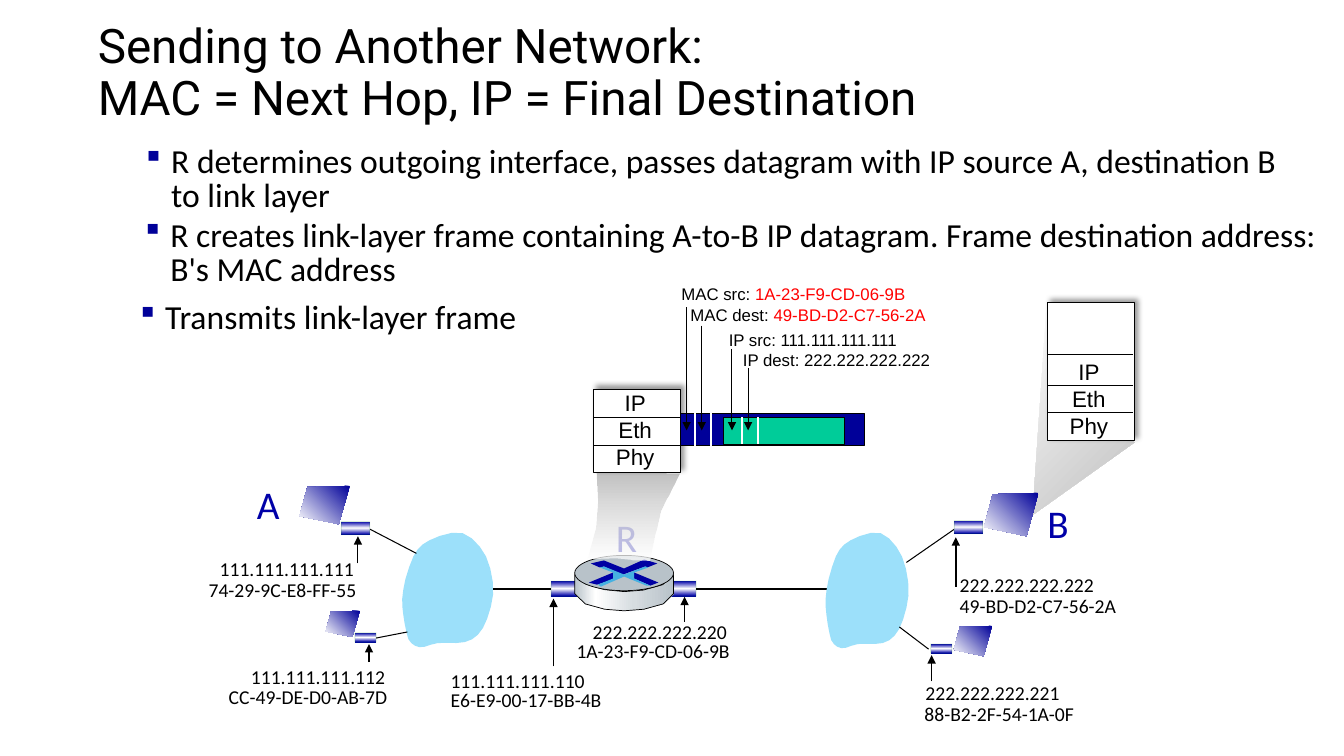
import pptx
import pptx.util
import pptx.dml.color
import pptx.enum.shapes
import pptx.enum.text
import pptx.oxml
import pptx.oxml.ns
from pptx.util import Inches

COLORS = {
    "black": "000000", "white": "FFFFFF", "red": "FF0000", "letter": "0000A8",
    "navy": "000099", "teal": "00CC99", "cloud": "9CE0FA", "steel": "B8C2C9",
    "silver": "D6DCE0", "cross": "0000A3", "cross_light": "46B1E1",
    "grey": "BFBFBF", "port_edge": "008000",
}
A_NS = pptx.oxml.ns.nsdecls("a")
qn = pptx.oxml.ns.qn
SHAPE = pptx.enum.shapes.MSO_SHAPE
CURVE_STEPS = 3

CLOUD_BOX = (3.98, 5.26, 0.92, 1.17)
CLOUD = [(4.26, 5.36), (4.18, 5.4, 4.14, 5.44, 4.1, 5.52), (4.06, 5.61, 4.01, 5.76, 4, 5.85),
         (3.98, 5.95, 3.99, 6.02, 4, 6.1), (4.01, 6.18, 4.03, 6.28, 4.05, 6.34),
         (4.08, 6.39, 4.11, 6.41, 4.16, 6.42), (4.21, 6.43, 4.26, 6.39, 4.34, 6.38),
         (4.41, 6.37, 4.54, 6.39, 4.61, 6.37), (4.69, 6.35, 4.74, 6.31, 4.79, 6.23),
         (4.83, 6.16, 4.88, 6.01, 4.89, 5.9), (4.9, 5.78, 4.87, 5.63, 4.82, 5.52),
         (4.77, 5.42, 4.68, 5.32, 4.59, 5.29), (4.5, 5.26, 4.34, 5.32, 4.26, 5.36)]
UNIT_BOX = (0, 0, 1, 1)
LAPTOP = [(1, 0), (0.16, 0.03), (0, 0.79), (0.78, 1)]
PORT_FADE = [(0, "letter"), (50, "white"), (99, "letter")]
LAPTOP_FADE = [(0, "navy"), (100, "white")]


def rgb(name):
    return pptx.dml.color.RGBColor.from_string(COLORS[name])


def paint(shape, fill, edge=None, weight=0.75, angle=0):
    """Fill with a colour name or a list of (position, colour[, opacity])."""
    shape.shadow.inherit = False
    if isinstance(fill, str):
        shape.fill.solid()
        shape.fill.fore_color.rgb = rgb(fill)
    else:
        shape.fill.gradient()
        shape.fill.gradient_angle = (360 - angle) % 360
        stops = shape._element.spPr.find(qn("a:gradFill")).find(qn("a:gsLst"))
        for stop in list(stops):
            stops.remove(stop)
        for position, color, *opacity in fill:
            alpha = opacity[0] if opacity else 100
            stops.append(pptx.oxml.parse_xml(
                f'<a:gs {A_NS} pos="{position * 1000}"><a:srgbClr val="{COLORS[color]}">'
                f'<a:alpha val="{alpha * 1000}"/></a:srgbClr></a:gs>'))
    if edge:
        shape.line.color.rgb = rgb(edge)
        shape.line.width = pptx.util.Pt(weight)
    else:
        shape.line.fill.background()


def preset(slide, kind, box, fill, edge="black", weight=0.75):
    shape = slide.shapes.add_shape(kind, *map(Inches, box))
    paint(shape, fill, edge, weight)
    return shape


def outline(slide, steps, fill, edge=None, angle=0, source=UNIT_BOX, target=UNIT_BOX):
    """Closed outline: a pair is a straight step, six numbers are a Bezier step."""
    points = [steps[0]]
    for step in steps[1:]:
        if len(step) == 2:
            points.append(step)
            continue
        corners = [points[-1], step[:2], step[2:4], step[4:]]
        for i in range(1, CURVE_STEPS + 1):
            t = i / CURVE_STEPS
            weights = ((1 - t) ** 3, 3 * t * (1 - t) ** 2, 3 * t * t * (1 - t), t ** 3)
            points.append(tuple(sum(w * c[axis] for w, c in zip(weights, corners))
                                for axis in (0, 1)))
    placed = [tuple(Inches(target[k] + (p[k] - source[k]) / source[k + 2] * target[k + 2])
                    for k in (0, 1)) for p in points]
    builder = slide.shapes.build_freeform(*placed[0])
    builder.add_line_segments(placed[1:], close=True)
    paint(builder.convert_to_shape(), fill, edge, 0.5, angle)


def line(slide, start, end, color="black", weight=0.75, arrow=False):
    link = slide.shapes.add_connector(pptx.enum.shapes.MSO_CONNECTOR.STRAIGHT,
                                      *map(Inches, start + end))
    link.line.color.rgb = rgb(color)
    link.line.width = pptx.util.Pt(weight)
    if arrow:
        link.line._get_or_add_ln().append(
            pptx.oxml.parse_xml(f'<a:tailEnd {A_NS} type="triangle"/>'))
    link._element.spPr.append(pptx.oxml.parse_xml(f"<a:effectLst {A_NS}/>"))


def add_run(paragraph, words, size, font, color="black"):
    run = paragraph.add_run()
    run.text = words
    run.font.size = pptx.util.Pt(size)
    run.font.name = font
    run.font.color.rgb = rgb(color)


def text(slide, box, paragraphs, size=14, font="Calibri", wrap=False):
    """Each paragraph is a list of (words, colour) runs; returns the paragraphs."""
    frame = slide.shapes.add_textbox(*map(Inches, box)).text_frame
    frame.word_wrap = wrap
    if not wrap:
        frame.auto_size = pptx.enum.text.MSO_AUTO_SIZE.SHAPE_TO_FIT_TEXT
    for i, runs in enumerate(paragraphs):
        paragraph = frame.add_paragraph() if i else frame.paragraphs[0]
        for words, color in runs:
            add_run(paragraph, words, size, font, color)
    return frame.paragraphs


def indent(paragraph, left, first=0):
    properties = paragraph._p.get_or_add_pPr()
    properties.set("marL", str(Inches(left)))
    properties.set("indent", str(Inches(first)))
    return properties


def bullet(slide, box, words):
    paragraph = text(slide, box, [[(words, "black")]], 24, wrap=True)[0]
    properties = indent(paragraph, 0.25, -0.25)
    # The section sign is the small square of Wingdings
    for xml in (f'<a:buClr {A_NS}><a:srgbClr val="{COLORS["navy"]}"/></a:buClr>',
                f'<a:buFont {A_NS} typeface="Wingdings" charset="2"/>',
                f'<a:buChar {A_NS} char="§"/>'):
        properties.append(pptx.oxml.parse_xml(xml))
    paragraph.line_spacing = 0.85


def port(slide, box):
    shape = preset(slide, SHAPE.RECTANGLE, box, PORT_FADE, "port_edge")
    shape.rotation = 90
    edge = shape._element.spPr.find(qn("a:ln")).find(".//" + qn("a:srgbClr"))
    edge.append(pptx.oxml.parse_xml(f'<a:alpha {A_NS} val="15000"/>'))


def laptop(slide, box):
    outline(slide, LAPTOP, LAPTOP_FADE, angle=135, target=box)


def protocol_stack(slide, box, layers_top, dividers):
    left, top, width, height = box
    frame = preset(slide, SHAPE.RECTANGLE, box, "white")
    effects = frame._element.spPr.find(qn("a:effectLst"))
    effects.append(pptx.oxml.parse_xml(
        f'<a:outerShdw {A_NS} blurRad="50800" dist="38100" dir="18900000" rotWithShape="0">'
        '<a:srgbClr val="000000"><a:alpha val="40000"/></a:srgbClr></a:outerShdw>'))
    layers = [[(name, "black")] for name in ("IP", "Eth", "Phy")]
    for paragraph in text(slide, (left + 0.12, layers_top, 0.58, 0.9), layers, 16, "Arial", True):
        paragraph.alignment = pptx.enum.text.PP_ALIGN.CENTER
        paragraph.line_spacing = pptx.util.Pt(19.3)
    for y in dividers:
        line(slide, (left, y), (left + width - 0.01, y))


def router(slide):
    for left in (6.69, 5.53):
        port(slide, (left, 5.7, 0.15, 0.28))
    outline(slide, [(6.68, 5.7), (6.68, 5.89), (6.65, 6.02, 6.36, 6.06, 6.19, 6.06),
                    (6.03, 6.06, 5.73, 6.02, 5.7, 5.89), (5.7, 5.7),
                    (5.74, 5.81, 6.02, 5.87, 6.19, 5.87), (6.35, 5.87, 6.64, 5.83, 6.68, 5.7)],
            [(0, "steel"), (21, "white"), (60, "silver"), (100, "steel")], "black")
    preset(slide, SHAPE.OVAL, (5.7, 5.51, 0.98, 0.35), "steel", weight=0.5)
    outline(slide, [(6.39, 5.55), (6.52, 5.59), (6.42, 5.63), (6.4, 5.62), (6.18, 5.7),
                    (5.99, 5.62), (5.95, 5.63), (5.86, 5.59), (5.99, 5.56), (6.19, 5.64)], "cross")
    outline(slide, [(6.29, 5.68), (6.53, 5.78), (6.45, 5.81), (6.29, 5.74)], "cross")
    outline(slide, [(6.08, 5.68), (6.08, 5.75), (5.92, 5.8), (5.84, 5.78)], "letter")
    outline(slide, [(5.95, 5.63), (5.99, 5.62), (6.19, 5.7), (6.4, 5.62), (6.43, 5.63),
                    (6.29, 5.68), (6.29, 5.74), (6.45, 5.81), (6.41, 5.81), (6.19, 5.72),
                    (5.96, 5.82), (5.93, 5.8), (6.08, 5.74), (6.08, 5.68)], "cross_light")


def frame_headers(slide):
    ip = text(slide, (7.13, 3.22, 2.2, 0.5), [[("IP src: 111.111.111.111", "black")],
              [("IP dest: 222.222.222.222", "black")]], 12, "Arial")
    indent(ip[1], 0.14)
    mac = text(slide, (6.66, 2.77, 2.66, 0.5),
               [[("MAC src: ", "black"), ("1A-23-F9-CD-06-9B", "red")],
                [("MAC dest: ", "black"), ("49-BD-D2-C7-56-2A", "red")]], 12, "Arial")
    indent(mac[1], 0.09)
    preset(slide, SHAPE.RECTANGLE, (6.75, 4.1, 1.82, 0.32), "navy")
    preset(slide, SHAPE.RECTANGLE, (7.18, 4.14, 1.2, 0.27), "teal")
    for x, top, bottom in ((7.36, 4.14, 4.4), (7.52, 4.14, 4.4), (6.89, 4.1, 4.43), (7.05, 4.1, 4.43)):
        line(slide, (x, top), (x, bottom), "white", 1.5)
    for x, top in ((6.81, 3.05), (6.96, 3.23), (7.26, 3.46), (7.42, 3.65)):
        line(slide, (x, top), (x, 4.27), arrow=True)


def main():
    deck = pptx.Presentation()
    deck.slide_width, deck.slide_height = Inches(13.33), Inches(7.5)
    slide = deck.slides.add_slide(deck.slide_layouts[5])

    # Title
    title = slide.shapes.title
    title.left, title.top, title.width, title.height = map(Inches, (0.87, 0.15, 11.5, 1.17))
    title.text_frame.vertical_anchor = pptx.enum.text.MSO_ANCHOR.MIDDLE
    heading = title.text_frame.paragraphs[0]
    heading.alignment = pptx.enum.text.PP_ALIGN.LEFT
    heading.line_spacing = 0.9
    add_run(heading, "Sending to Another Network: ", 34, "Roboto")
    heading.add_line_break()
    add_run(heading, "MAC = Next Hop, IP = Final Destination", 34, "Roboto")

    # Networks, their links and interface addresses
    line(slide, (4.7, 5.84), (8.23, 5.84), weight=1.25)
    for letter, left, top in (("R", 6.01, 5.04), ("A", 2.45, 4.72), ("B", 10.29, 4.9)):
        text(slide, (left, top, 0.42, 0.57), [[(letter, "letter")]], 28)
    for words, left, top, width in (
            ("222.222.222.220", 5.78, 6.1, 1.55), ("1A-23-F9-CD-06-9B", 5.62, 6.29, 1.73),
            ("111.111.111.110", 4.37, 6.59, 1.55), ("E6-E9-00-17-BB-4B", 4.37, 6.78, 1.71),
            ("111.111.111.112", 2.39, 6.55, 1.55), ("CC-49-DE-D0-AB-7D", 2.17, 6.75, 1.79),
            ("111.111.111.111", 2.08, 5.48, 1.55), ("74-29-9C-E8-FF-55", 1.97, 5.68, 1.68),
            ("222.222.222.222", 9.42, 5.63, 1.55), ("49-BD-D2-C7-56-2A", 9.42, 5.84, 1.77),
            ("222.222.222.221", 9.08, 6.71, 1.55), ("88-B2-2F-54-1A-0F", 9.07, 6.91, 1.7)):
        text(slide, (left, top, width, 0.34), [[(words, "black")]])
    for box in (CLOUD_BOX, (8.18, 5.26, 0.84, 1.18)):
        outline(slide, CLOUD, "cloud", source=CLOUD_BOX, target=box)
    for start, end in (((3.65, 5.24), (4.13, 5.49)), ((3.73, 6.33), (4.04, 6.27)),
                       ((8.99, 5.58), (9.48, 5.24)), ((9.21, 6.44), (8.92, 6.22))):
        line(slide, start, end)
    for x, bottom, top, weight in (
            (3.66, 6.57, 6.39, 0.75), (3.55, 5.59, 5.32, 0.75), (5.49, 6.61, 5.94, 0.75),
            (6.79, 6.17, 5.92, 0.75), (9.48, 5.82, 5.33, 1), (9.24, 6.76, 6.5, 1)):
        line(slide, (x, bottom), (x, top), weight=weight, arrow=True)

    # Router and hosts
    router(slide)
    for box in ((3.46, 5.1, 0.13, 0.28), (3.58, 6.22, 0.09, 0.21),
                (9.54, 5.09, 0.13, 0.28), (9.29, 6.33, 0.09, 0.21)):
        port(slide, box)
    for box in ((2.97, 4.82, 0.5, 0.38), (3.23, 6.06, 0.34, 0.26), (9.46, 6.21, 0.38, 0.3)):
        laptop(slide, box)

    # Protocol stacks of B and R, and the frame
    outline(slide, [(11.25, 4.39), (10.24, 5.11), (10.38, 3.03)],
            [(0, "white"), (99, "grey")], angle=45)
    protocol_stack(slide, (10.39, 3, 0.86, 1.37), 3.5, (3.52, 3.82, 4.09, 4.37))
    laptop(slide, (9.76, 4.89, 0.54, 0.43))
    outline(slide, [(6.74, 4.7), (6.44, 5.17, 6.54, 5.27, 6.44, 5.56),
                    (6.27, 5.57, 6.14, 5.5, 5.83, 5.54), (5.96, 5.17, 5.95, 5.04, 5.92, 4.67)],
            [(0, "grey"), (100, "white", 72)], angle=90)
    protocol_stack(slide, (5.89, 3.86, 0.86, 0.83), 3.81, (4.14, 4.42))
    frame_headers(slide)

    # Steps taken by R
    bullet(slide, (1.35, 1.4, 11.56, 0.6), "R determines outgoing interface, passes datagram "
           "with IP source A, destination B to link layer")
    bullet(slide, (1.34, 2.13, 11.82, 0.79), "R creates link-layer frame containing A-to-B IP "
           "datagram. Frame destination address: B's MAC address")
    bullet(slide, (1.29, 2.95, 4.05, 0.79), "Transmits link-layer frame")
    deck.save("out.pptx")


if __name__ == "__main__":
    main()
